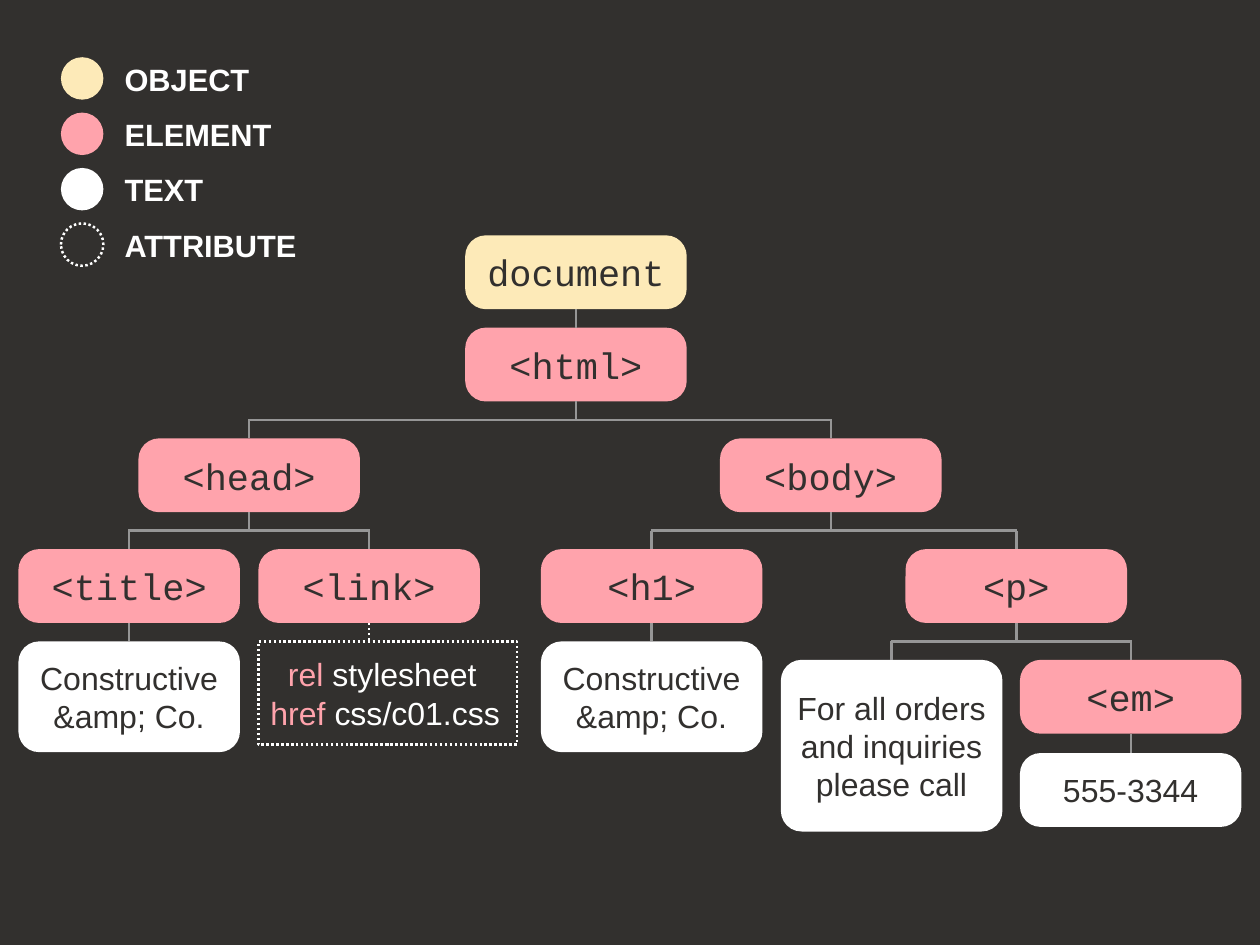
from lxml import etree
from pptx import Presentation
from pptx import util as u
from pptx.dml.color import RGBColor
from pptx.enum import dml, shapes, text
from pptx.oxml.ns import qn

DARK = RGBColor(0x32, 0x30, 0x2E)
CREAM = RGBColor(0xFD, 0xEA, 0xB8)
PINK = RGBColor(0xFF, 0xA3, 0xAC)
WHITE = RGBColor(0xFF, 0xFF, 0xFF)
GREY = RGBColor(0x96, 0x96, 0x96)

NODE_W, NODE_H, RADIUS, GAP = 240, 80, 22.4, 20


def px(n):
    return u.Emu(int(n * 9525))


class Board:
    """Holds the style and the current slide."""
    sans, mono = "Arial", "Courier New"
    label_size, node_size, copy_size = 25, 30, 26
    stroke = u.Pt(2)

    def __init__(self, slide):
        self.slide = slide
        slide.background.fill.solid()
        slide.background.fill.fore_color.rgb = DARK

    def outline(self, line, color, dotted=False):
        line.color.rgb = color
        line.width = self.stroke
        if dotted:
            line.dash_style = dml.MSO_LINE.ROUND_DOT

    def shape(self, kind, x, y, w, h, fill=None):
        """A filled shape, or a dotted one when there is no fill."""
        item = self.slide.shapes.add_shape(kind, px(x), px(y), px(w), px(h))
        item.shadow.inherit = False
        if fill is None:
            item.fill.background()
            self.outline(item.line, WHITE, dotted=True)
        else:
            item.fill.solid()
            item.fill.fore_color.rgb = fill
            item.line.fill.background()
        return item

    def frame(self, item, inset, wrap):
        frame = item.text_frame
        frame.margin_left = frame.margin_right = px(inset)
        frame.margin_top = frame.margin_bottom = px(inset)
        frame.vertical_anchor = text.MSO_ANCHOR.MIDDLE
        frame.word_wrap = wrap
        return frame

    def run(self, paragraph, words, size, color, font=sans, bold=False):
        run = paragraph.add_run()
        run.text = words
        run.font.size = u.Pt(size)
        run.font.name = font
        run.font.bold = bold
        run.font.color.rgb = color

    def node(self, words, x, y, fill, h=NODE_H, code=True):
        box = self.shape(shapes.MSO_SHAPE.ROUNDED_RECTANGLE, x, y, NODE_W, h, fill)
        box.adjustments[0] = RADIUS / h
        paragraph = self.frame(box, 0, True).paragraphs[0]
        paragraph.alignment = text.PP_ALIGN.CENTER
        size, font = (self.node_size, self.mono) if code else (self.copy_size, self.sans)
        self.run(paragraph, words, size, DARK, font)
        return box

    def attributes(self, pairs, x, y, w, h):
        box = self.shape(shapes.MSO_SHAPE.RECTANGLE, x, y, w, h)
        frame = self.frame(box, 13, False)
        for i, (name, value, indent) in enumerate(pairs):
            paragraph = frame.add_paragraph() if i else frame.paragraphs[0]
            paragraph.alignment = text.PP_ALIGN.LEFT
            paragraph._p.get_or_add_pPr().set("marL", str(px(indent)))
            self.run(paragraph, name, self.copy_size, PINK)
            self.run(paragraph, " " + value, self.copy_size, WHITE)

    def legend(self, label, x, y, fill):
        self.shape(shapes.MSO_SHAPE.OVAL, x, y, 46, 46, fill)
        box = self.slide.shapes.add_textbox(px(x + 63), px(y - 2), px(200), px(51))
        paragraph = self.frame(box, 6, False).paragraphs[0]
        paragraph.alignment = text.PP_ALIGN.LEFT
        self.run(paragraph, label, self.label_size, WHITE, bold=True)

    def line(self, start, end, above=None, below=None, dotted=False):
        """A straight line, joined to the node above or below it."""
        link = self.slide.shapes.add_connector(
            shapes.MSO_CONNECTOR.STRAIGHT, *start, *end)
        if above is not None:
            link.begin_connect(above, 2)
        if below is not None:
            link.end_connect(below, 0)
        self.outline(link.line, WHITE if dotted else GREY, dotted)
        etree.SubElement(link._element.spPr, qn("a:effectLst"))

    def branch(self, parent, *children):
        """Lines from a parent node down to its children."""
        foot = (middle(parent), parent.top + parent.height)
        tops = [(middle(child), child.top) for child in children]
        if len(children) == 1:
            self.line(foot, tops[0], parent, children[0])
            return
        bar = foot[1] + px(GAP)
        self.line(foot, (foot[0], bar), above=parent)
        self.line((tops[0][0] - px(1), bar), (tops[-1][0] + px(1), bar))
        for child, top in zip(children, tops):
            self.line((top[0], bar), top, below=child)


def middle(box):
    return box.left + box.width // 2


def main():
    deck = Presentation()
    deck.slide_width, deck.slide_height = px(1365), px(1024)
    board = Board(deck.slides.add_slide(deck.slide_layouts[6]))

    # Document and element nodes
    document = board.node("document", 504, 255, CREAM)
    html = board.node("<html>", 504, 355, PINK)
    head = board.node("<head>", 150, 475, PINK)
    body = board.node("<body>", 780, 475, PINK)
    title = board.node("<title>", 20, 595, PINK)
    link = board.node("<link>", 280, 595, PINK)
    h1 = board.node("<h1>", 586, 595, PINK)
    p = board.node("<p>", 981, 595, PINK)
    em = board.node("<em>", 1105, 715, PINK)

    # Text nodes
    company = "Constructive &amp; Co."
    title_text = board.node(company, 20, 695, WHITE, 120, code=False)
    h1_text = board.node(company, 586, 695, WHITE, 120, code=False)
    p_text = board.node("For all orders and inquiries please call",
                        846, 715, WHITE, 186, code=False)
    em_text = board.node("555-3344", 1105, 816, WHITE, code=False)

    # Attributes of the link element
    board.attributes([("rel", "stylesheet", 19), ("href", "css/c01.css", 0)],
                     280, 695, 280, 112)
    board.line((px(400), px(675)), (px(400), px(693)), above=link, dotted=True)

    # Tree lines
    for family in [(document, html), (html, head, body), (head, title, link),
                   (body, h1, p), (p, p_text, em), (title, title_text),
                   (h1, h1_text), (em, em_text)]:
        board.branch(*family)

    # Legend
    kinds = [("OBJECT", CREAM), ("ELEMENT", PINK), ("TEXT", WHITE), ("ATTRIBUTE", None)]
    for i, (label, fill) in enumerate(kinds):
        board.legend(label, 66, 62 + 60 * i, fill)

    deck.save("out.pptx")


if __name__ == "__main__":
    main()
